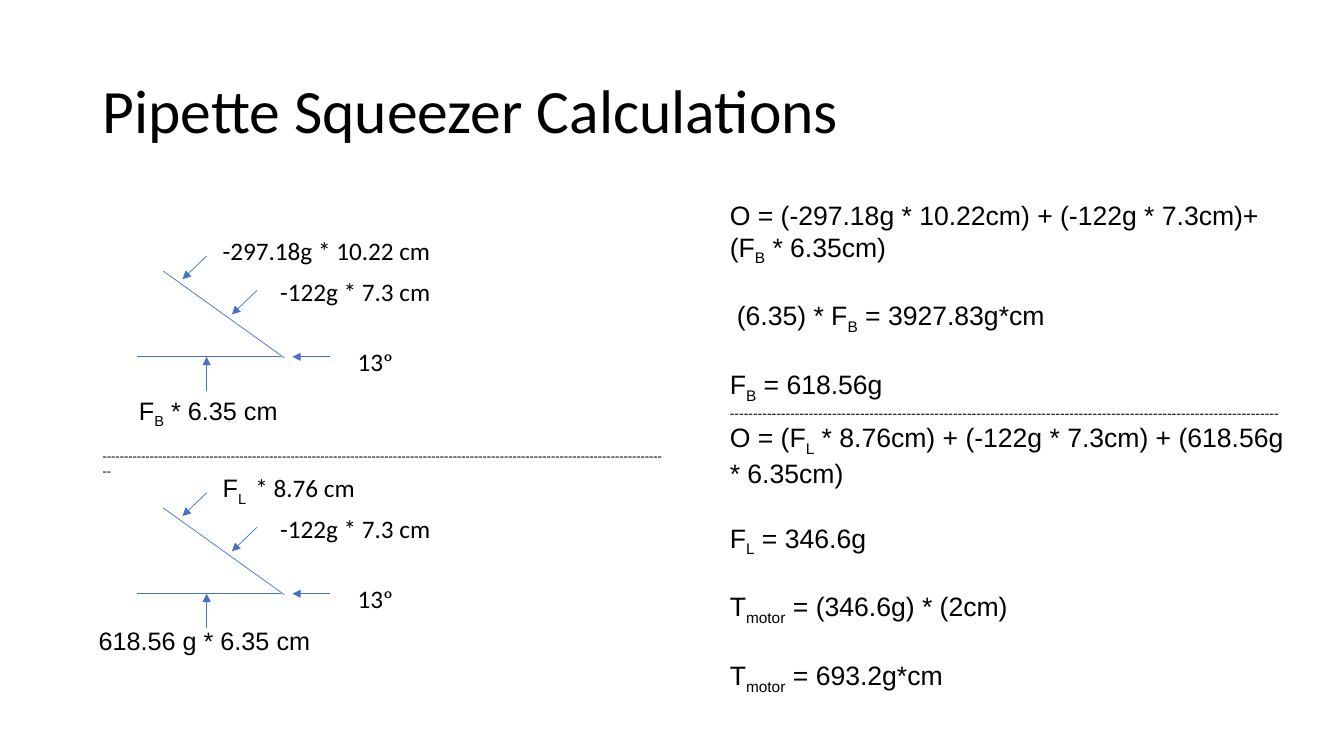
from lxml import etree
from pptx import Presentation
from pptx.dml.color import RGBColor
from pptx.enum.shapes import MSO_CONNECTOR
from pptx.enum.text import MSO_ANCHOR
from pptx.oxml.ns import qn
from pptx.util import Inches, Pt

LINE = MSO_CONNECTOR.STRAIGHT
TOP, MIDDLE = MSO_ANCHOR.TOP, MSO_ANCHOR.MIDDLE
COLORS = {"text": "000000", "line": "4472C4"}
GAP = 23.2  # points between calculation steps


class Board:
    def __init__(self, slide):
        self.slide = slide

    def text(self, lines, left, top, width, height, size=18, font="Calibri",
             anchor=TOP, spacing=None):
        """Add a text box; each line is (parts, paragraph options)."""
        box = self.slide.shapes.add_textbox(
            Inches(left), Inches(top), Inches(width), Inches(height))
        frame = box.text_frame
        frame.word_wrap = True
        frame.vertical_anchor = anchor
        for i, (parts, style) in enumerate(lines):
            para = frame.paragraphs[0] if i == 0 else frame.add_paragraph()
            para.line_spacing = spacing
            para.space_before = Pt(style.get("before", 0))
            if "indent" in style:
                props = para._p.get_or_add_pPr()
                props.set("marL", str(Inches(style["indent"])))
                props.set("indent", "0")
            if isinstance(parts, str):
                parts = [(parts, font)]
            for words, face in parts:
                self.runs(para, words, face, style.get("size", size))

    def runs(self, para, words, face, size):
        """Add runs; text between underscores is subscript."""
        for i, piece in enumerate(words.split("_")):
            if not piece:
                continue
            run = para.add_run()
            run.text = piece
            run.font.name = face
            run.font.size = Pt(size)
            run.font.color.rgb = RGBColor.from_string(COLORS["text"])
            if i % 2:
                run.font._element.set("baseline", "-25000")

    def label(self, parts, left, top, width, font="Calibri"):
        self.text([(parts, {})], left, top, width, 0.4, font=font)

    def line(self, start, end, arrow=False):
        link = self.slide.shapes.add_connector(
            LINE, *[Inches(v) for v in (*start, *end)])
        link.line.color.rgb = RGBColor.from_string(COLORS["line"])
        link.line.width = Pt(0.5)
        if arrow:
            tail = etree.SubElement(link.line._get_or_add_ln(), qn("a:tailEnd"))
            tail.set("type", "triangle")
        etree.SubElement(link._element.spPr, qn("a:effectLst"))

    def lever(self, top, force, base):
        """Draw a squeezer lever with its loads; base is the lower label."""
        self.line((1.36, top + 1.25), (2.79, top + 1.25))
        self.line((2.82, top + 1.26), (1.62, top + 0.4))
        for start, end in (
            ((2.05, 0.25), (1.81, 0.48)),
            ((2.55, 0.59), (2.3, 0.83)),
            ((2.05, 1.59), (2.05, 1.25)),
            ((3.27, 1.25), (2.9, 1.25)),
        ):
            self.line((start[0], top + start[1]), (end[0], top + end[1]), True)
        self.label(force, 2.11, top, 2.57)
        self.label("-122g * 7.3 cm", 2.68, top + 0.4, 1.8)
        self.label([("13", "Calibri"), ("°", "Cambria")], 3.45, top + 1.1, 1.1)
        self.label(*base, font="Arial")


def main():
    deck = Presentation()
    deck.slide_width, deck.slide_height = Inches(13.33), Inches(7.5)
    board = Board(deck.slides.add_slide(deck.slide_layouts[6]))

    board.text([("Pipette Squeezer Calculations", {})], 0.92, 0.4, 11.5, 1.45,
               size=44, anchor=MIDDLE, spacing=0.9)
    board.text([("-" * 133, {})], 0.92, 4.41, 5.75, 0.4, size=10, spacing=0.9)

    step = {"before": GAP}
    board.text([
        ("O = (-297.18g * 10.22cm) + (-122g * 7.3cm)+ (F_B_ * 6.35cm)", {}),
        ("(6.35) * F_B_ = 3927.83g*cm", {"before": GAP, "indent": 0.07}),
        ("F_B_ = 618.56g", step),
        ("-" * 118, {"size": 10}),
        ("O = (F_L_ * 8.76cm) + (-122g * 7.3cm) + (618.56g * 6.35cm)", {}),
        ("F_L_ = 346.6g", step),
        ("T_motor_ = (346.6g) * (2cm)", step),
        ("T_motor_ = 693.2g*cm", step),
    ], 7.14, 1.92, 5.77, 4.91, size=19, font="Arial")

    board.lever(2.29, "-297.18g * 10.22 cm", ("F_B_ * 6.35 cm", 1.28, 3.87, 1.88))
    board.lever(4.64, [("F_L _", "Arial"), (" * 8.76 cm", "Calibri")],
                ("618.56 g * 6.35 cm", 0.88, 6.15, 2.4))
    deck.save("out.pptx")


if __name__ == "__main__":
    main()
